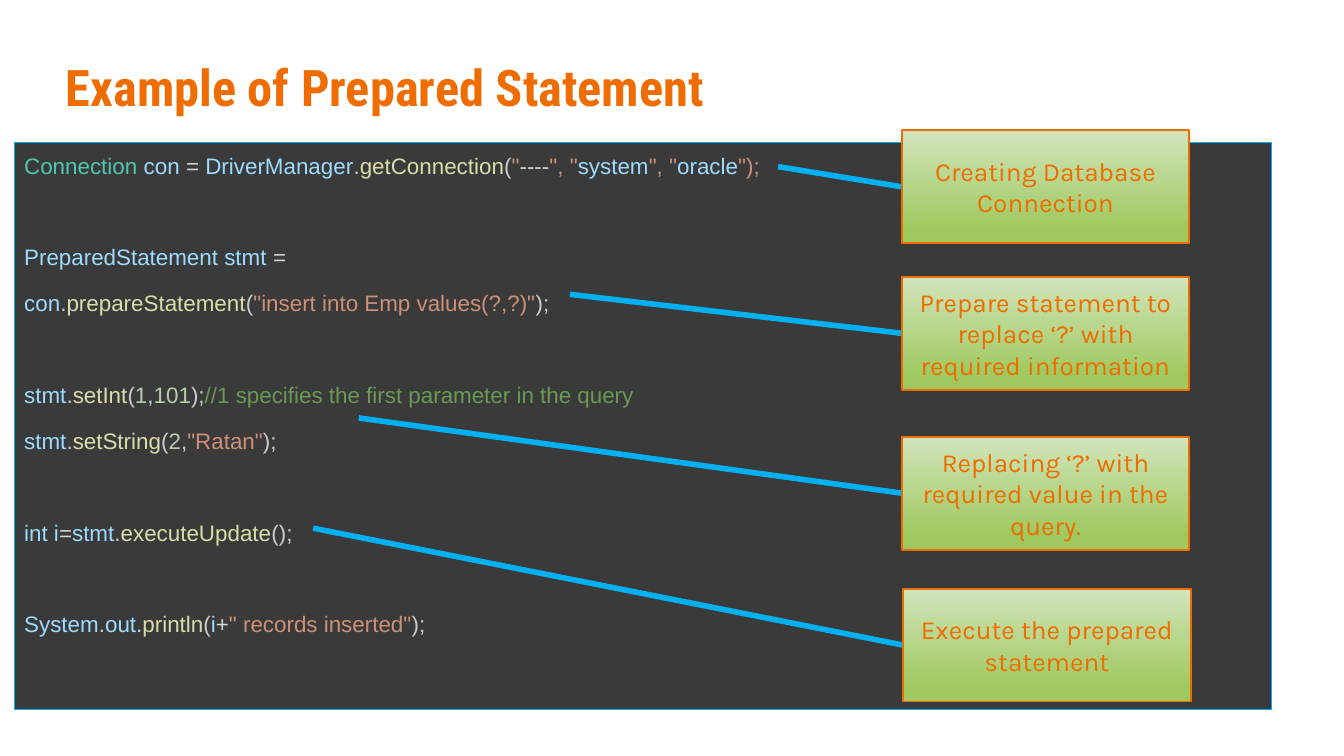
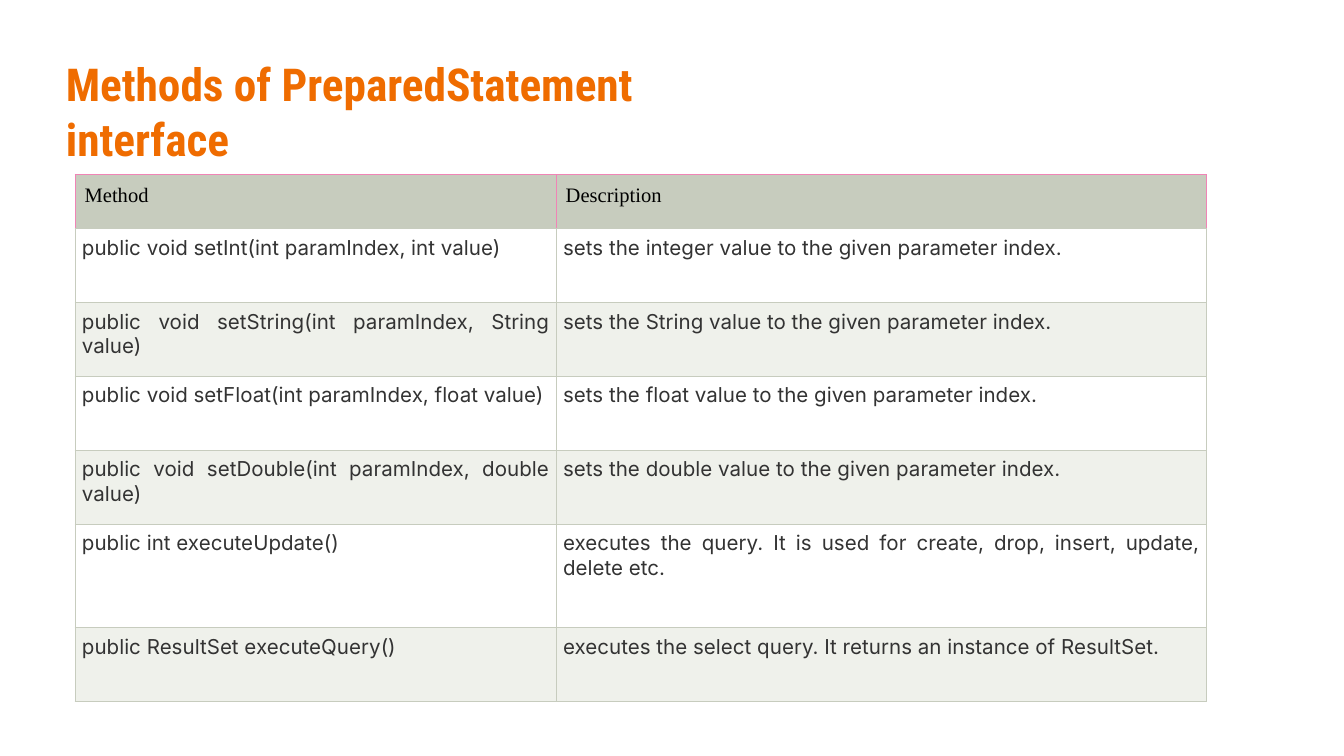
"""Builds two slides on prepared statements: annotated code and a method table."""
from dataclasses import dataclass
from typing import NamedTuple

from lxml.etree import SubElement
from pptx import Presentation
from pptx.dml.color import RGBColor
from pptx.enum.shapes import MSO_CONNECTOR, MSO_SHAPE
from pptx.enum.text import MSO_ANCHOR, PP_ALIGN
from pptx.oxml.ns import qn
from pptx.util import Inches, Pt


@dataclass(frozen=True)
class Theme:
    accent: str = "EF6C00"
    sky: str = "00B0F0"
    code_back: str = "3A3A3A"
    callout_top: str = "D2E4BB"
    callout_bottom: str = "9FC95F"
    grid: str = "C7CCBE"
    header_edge: str = "F084B6"
    header_text: str = "000000"
    cell_text: str = "333333"
    row_fills: tuple[str, str] = ("FFFFFF", "EFF1EB")
    type_name: str = "4EC9B0"
    variable: str = "9CDCFE"
    operator: str = "D4D4D4"
    punctuation: str = "CCCCCC"
    function: str = "DCDCAA"
    string: str = "CE9178"
    number: str = "B5CEA8"
    comment: str = "6A9955"
    title_font: str = "Roboto Condensed"
    code_font: str = "Arial"
    callout_font: str = "Karla"
    header_font: str = "Times New Roman"
    cell_font: str = "Inter"
    title_size: float = 27
    long_title_size: float = 24.3
    code_size: float = 12
    callout_size: float = 14
    cell_size: float = 11


THEME = Theme()


class Token(NamedTuple):
    text: str
    color: str


class CodeLine(NamedTuple):
    space_before: float
    tokens: list[Token]


class Callout(NamedTuple):
    text: str
    left: float
    top: float
    start_x: float
    start_y: float


class Method(NamedTuple):
    signature: str
    description: str
    height: float = 0.55


def variable(text: str) -> Token:
    """Return a token for a name."""
    return Token(text, THEME.variable)


def function(text: str) -> Token:
    """Return a token for a called method."""
    return Token(text, THEME.function)


def string(text: str) -> Token:
    """Return a token for a string literal."""
    return Token(text, THEME.string)


def number(text: str) -> Token:
    """Return a token for a number."""
    return Token(text, THEME.number)


def operator(text: str) -> Token:
    """Return a token for an operator."""
    return Token(text, THEME.operator)


def mark(text: str) -> Token:
    """Return a token for punctuation."""
    return Token(text, THEME.punctuation)


LINE_GAP = 8
BLOCK_GAP = 32.6

CODE = [
    CodeLine(0, [Token("Connection ", THEME.type_name), variable("con "), operator("= "),
                 variable("DriverManager"), mark("."), function("getConnection"), mark("("),
                 string('"'), operator("----"), string('", "'), variable("system"),
                 string('", "'), variable("oracle"), string('");')]),
    CodeLine(BLOCK_GAP, [variable("PreparedStatement stmt "), operator("=")]),
    CodeLine(LINE_GAP, [variable("con"), mark("."), function("prepareStatement"), mark("("),
                        string('"insert into Emp values(?,?)"'), mark(");")]),
    CodeLine(BLOCK_GAP, [variable("stmt"), mark("."), function("setInt"), mark("("),
                         number("1"), mark(","), number("101"), mark(");"),
                         Token("//1 specifies the first parameter in the query",
                               THEME.comment)]),
    CodeLine(LINE_GAP, [variable("stmt"), mark("."), function("setString"), mark("("),
                        number("2"), mark(","), string('"Ratan"'), mark(");")]),
    CodeLine(BLOCK_GAP, [variable("int i"), operator("="), variable("stmt"), mark("."),
                         function("executeUpdate"), mark("();")]),
    CodeLine(BLOCK_GAP, [variable("System"), mark("."), variable("out"), mark("."),
                         function("println"), mark("("), variable("i"), operator("+"),
                         string('" records inserted"'), mark(");")]),
]

CALLOUTS = [
    Callout("Creating Database Connection", 6.71, 0.97, 5.79, 1.24),
    Callout("Prepare statement to replace ‘?’ with required information",
            6.71, 2.06, 4.24, 2.19),
    Callout("Replacing ‘?’ with required value in the query.", 6.71, 3.25, 2.67, 3.11),
    Callout("Execute the prepared statement", 6.72, 4.38, 2.33, 3.93),
]

METHODS = [
    Method("Method", "Description", 0.4),
    Method("public void setInt(int paramIndex, int value)",
           "sets the integer value to the given parameter index."),
    Method("public void setString(int paramIndex, String value)",
           "sets the String value to the given parameter index."),
    Method("public void setFloat(int paramIndex, float value)",
           "sets the float value to the given parameter index."),
    Method("public void setDouble(int paramIndex, double value)",
           "sets the double value to the given parameter index."),
    Method("public int executeUpdate()",
           "executes the query. It is used for create, drop, insert, update, delete etc.",
           0.77),
    Method("public ResultSet executeQuery()",
           "executes the select query. It returns an instance of ResultSet."),
]
COLUMN_WIDTHS = (3.58, 4.84)


def style_font(font, name: str, size: float, color: str, bold: bool = False) -> None:
    """Set the face, size, colour and weight of a font."""
    font.name = name
    font.size = Pt(size)
    font.bold = bold
    font.color.rgb = RGBColor.from_string(color)


def set_frame(frame, anchor: MSO_ANCHOR) -> None:
    """Give a text frame the shared wrap and margins."""
    frame.word_wrap = True
    frame.vertical_anchor = anchor
    frame.margin_left = frame.margin_right = Inches(0.07)
    frame.margin_top = frame.margin_bottom = Inches(0.04)


def add_title(page, text: str, size: float) -> None:
    """Add the slide title."""
    box = page.shapes.add_textbox(Inches(0.42), Inches(0.38), Inches(5.29), Inches(0.81))
    set_frame(box.text_frame, MSO_ANCHOR.TOP)
    box.text_frame.text = text
    span = box.text_frame.paragraphs[0].runs[0]
    style_font(span.font, THEME.title_font, size, THEME.accent, True)


def add_box(page, left: float, top: float, width: float, height: float,
            edge: str, weight: float):
    """Add a rectangle without shadow and with a coloured edge."""
    box = page.shapes.add_shape(MSO_SHAPE.RECTANGLE, Inches(left), Inches(top),
                                Inches(width), Inches(height))
    box.shadow.inherit = False
    box.line.color.rgb = RGBColor.from_string(edge)
    box.line.width = Pt(weight)
    return box


def add_code(page, lines: list[CodeLine]) -> None:
    """Add the dark panel with coloured code."""
    box = add_box(page, 0.11, 1.06, 9.35, 4.22, THEME.sky, 0.75)
    box.fill.solid()
    box.fill.fore_color.rgb = RGBColor.from_string(THEME.code_back)
    frame = box.text_frame
    set_frame(frame, MSO_ANCHOR.TOP)
    for index, line in enumerate(lines):
        para = frame.add_paragraph() if index else frame.paragraphs[0]
        para.alignment = PP_ALIGN.LEFT
        para.line_spacing = 1.15
        para.space_before = Pt(line.space_before)
        for token in line.tokens:
            span = para.add_run()
            span.text = token.text
            style_font(span.font, THEME.code_font, THEME.code_size, token.color)


def add_callout(page, callout: Callout) -> None:
    """Add a gradient note and the line that joins it to the code."""
    start_x, start_y = Inches(callout.start_x), Inches(callout.start_y)
    link = page.shapes.add_connector(MSO_CONNECTOR.STRAIGHT, start_x, start_y,
                                     Inches(callout.left), Inches(callout.top))
    link.line.color.rgb = RGBColor.from_string(THEME.sky)
    link.line.width = Pt(3)
    SubElement(link.element.spPr, qn("a:effectLst"))

    box = add_box(page, callout.left, callout.top, 2.14, 0.84, THEME.accent, 1)
    box.fill.gradient()
    box.fill.gradient_angle = 270
    stops = ((0, THEME.callout_top), (0.88, THEME.callout_bottom))
    for stop, (position, color) in zip(box.fill.gradient_stops, stops):
        stop.position = position
        stop.color.rgb = RGBColor.from_string(color)
    set_frame(box.text_frame, MSO_ANCHOR.MIDDLE)
    box.text_frame.text = callout.text
    para = box.text_frame.paragraphs[0]
    para.alignment = PP_ALIGN.CENTER
    style_font(para.runs[0].font, THEME.callout_font, THEME.callout_size, THEME.accent)
    link.end_connect(box, 1)


def set_borders(cell, edge: str) -> None:
    """Draw the cell borders, with the grid colour at the bottom."""
    properties = cell._tc.get_or_add_tcPr()
    for side, color in zip("LRTB", (edge, edge, edge, THEME.grid)):
        line = SubElement(properties, qn(f"a:ln{side}"), w=str(Pt(0.75)))
        fill = SubElement(line, qn("a:solidFill"))
        SubElement(fill, qn("a:srgbClr"), val=color)


def fill_cell(cell, text: str, row: int) -> None:
    """Write and style one table cell."""
    header = row == 0
    set_borders(cell, THEME.header_edge if header else THEME.grid)
    cell.fill.solid()
    color = THEME.grid if header else THEME.row_fills[(row - 1) % 2]
    cell.fill.fore_color.rgb = RGBColor.from_string(color)
    margin = Inches(0.07 if header else 0.05)
    cell.margin_left = cell.margin_right = margin
    cell.margin_top = cell.margin_bottom = margin
    cell.text_frame.text = text
    para = cell.text_frame.paragraphs[0]
    para.alignment = PP_ALIGN.LEFT if header else PP_ALIGN.JUSTIFY
    style_font(para.runs[0].font,
               THEME.header_font if header else THEME.cell_font,
               THEME.cell_size,
               THEME.header_text if header else THEME.cell_text)


def add_methods(page, methods: list[Method]) -> None:
    """Add the table of methods."""
    height = sum(method.height for method in methods)
    table = page.shapes.add_table(len(methods), len(COLUMN_WIDTHS), Inches(0.56), Inches(1.3),
                                  Inches(sum(COLUMN_WIDTHS)), Inches(height)).table
    table.horz_banding = False
    for column, width in zip(table.columns, COLUMN_WIDTHS):
        column.width = Inches(width)
    for row, method in enumerate(methods):
        table.rows[row].height = Inches(method.height)
        for column, text in enumerate((method.signature, method.description)):
            fill_cell(table.cell(row, column), text, row)


def main() -> None:
    """Build and save the deck."""
    deck = Presentation()
    deck.slide_width = Inches(10)
    deck.slide_height = deck.slide_width * 9 // 16
    blank = deck.slide_layouts[6]

    page = deck.slides.add_slide(blank)
    add_title(page, "Example of Prepared Statement", THEME.title_size)
    add_code(page, CODE)
    for callout in CALLOUTS:
        add_callout(page, callout)

    page = deck.slides.add_slide(blank)
    add_title(page, "Methods of PreparedStatement interface", THEME.long_title_size)
    add_methods(page, METHODS)

    deck.save("out.pptx")


if __name__ == "__main__":
    main()
